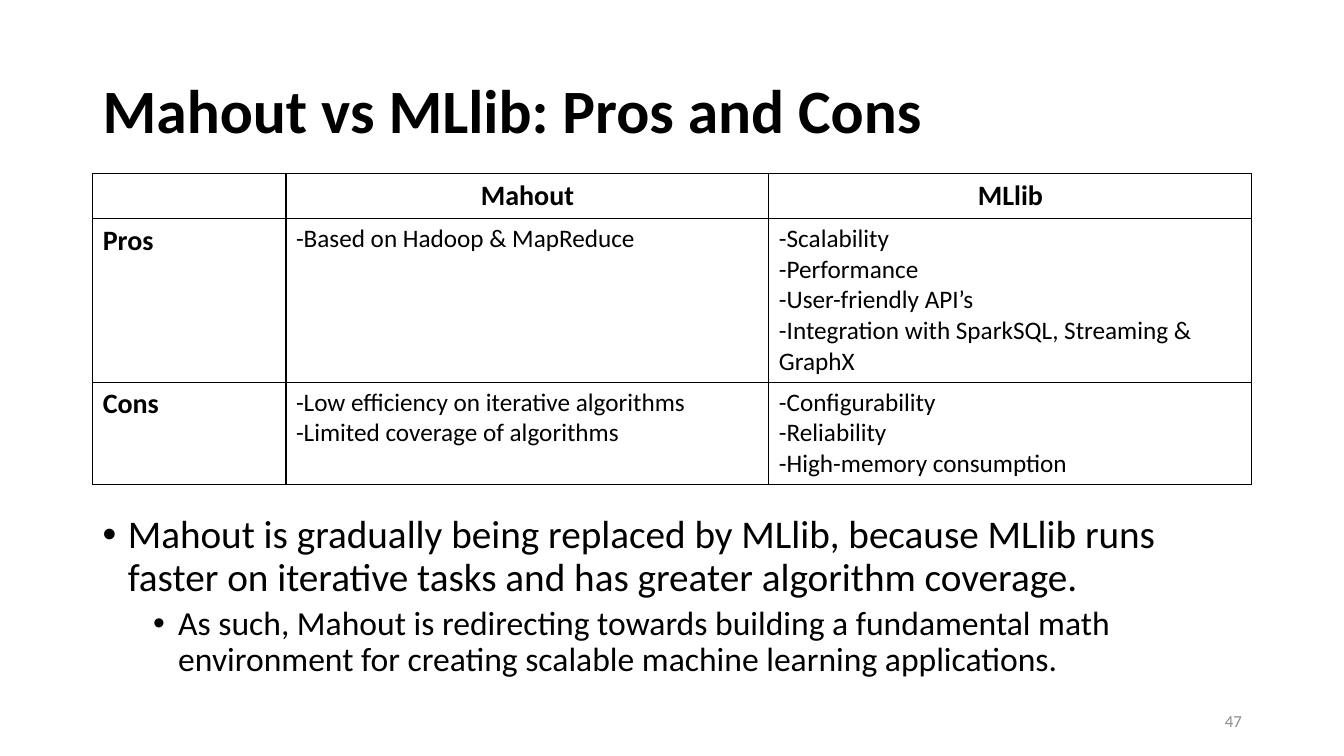
from dataclasses import dataclass

from lxml import etree
from pptx import Presentation
from pptx.dml.color import RGBColor
from pptx.enum.text import MSO_ANCHOR, PP_ALIGN
from pptx.oxml.ns import qn
from pptx.util import Pt

LEFT, CENTER, RIGHT = PP_ALIGN.LEFT, PP_ALIGN.CENTER, PP_ALIGN.RIGHT
TOP, MIDDLE = MSO_ANCHOR.TOP, MSO_ANCHOR.MIDDLE


@dataclass(frozen=True)
class Theme:
    font: str = "Calibri"
    ink: RGBColor = RGBColor(0, 0, 0)
    muted: RGBColor = RGBColor(0x8C, 0x8C, 0x8C)
    title: int = 44
    point: int = 28
    subpoint: int = 24
    heading: int = 20
    entry: int = 18
    footer: int = 12


THEME = Theme()
MARGIN, CONTENT_WIDTH = 66.24, 828
COLUMN_WIDTHS = (138, 345, 345)
ROW_HEIGHTS = (32, 117, 73)

COMPARISON = [
    [[], ["Mahout"], ["MLlib"]],
    [
        ["Pros"],
        ["-Based on Hadoop & MapReduce"],
        [
            "-Scalability",
            "-Performance",
            "-User-friendly API’s",
            "-Integration with SparkSQL, Streaming & GraphX",
        ],
    ],
    [
        ["Cons"],
        ["-Low efficiency on iterative algorithms", "-Limited coverage of algorithms"],
        ["-Configurability", "-Reliability", "-High-memory consumption"],
    ],
]


def add_text_frame(slide, left, top, width, height, anchor=TOP):
    frame = slide.shapes.add_textbox(Pt(left), Pt(top), Pt(width), Pt(height)).text_frame
    frame.word_wrap = True
    frame.vertical_anchor = anchor
    return frame


def write(paragraph, text, size, color=THEME.ink, bold=False, align=LEFT):
    paragraph.alignment = align
    run = paragraph.add_run()
    run.text = text
    run.font.name = THEME.font
    run.font.size = Pt(size)
    run.font.bold = bold
    run.font.color.rgb = color


def set_bullet(paragraph, indent):
    """Hang a round bullet 18 pt to the left of the indent."""
    properties = paragraph._p.get_or_add_pPr()
    properties.set("marL", str(Pt(indent)))
    properties.set("indent", str(Pt(-18)))
    etree.SubElement(properties, qn("a:buFont"), typeface="Arial")
    etree.SubElement(properties, qn("a:buChar"), char="•")


def set_borders(cell):
    properties = cell._tc.get_or_add_tcPr()
    for position, side in enumerate(("a:lnL", "a:lnR", "a:lnT", "a:lnB")):
        line = etree.Element(qn(side), w=str(Pt(1)))
        fill = etree.SubElement(line, qn("a:solidFill"))
        etree.SubElement(fill, qn("a:srgbClr"), val=str(THEME.ink))
        properties.insert(position, line)


def fill_cell(cell, lines, is_header, is_label):
    cell.fill.background()
    set_borders(cell)
    cell.vertical_anchor = MIDDLE if is_header else TOP
    bold = is_header or is_label
    for number, line in enumerate(lines):
        frame = cell.text_frame
        paragraph = frame.add_paragraph() if number else frame.paragraphs[0]
        write(
            paragraph,
            line,
            THEME.heading if bold else THEME.entry,
            bold=bold,
            align=CENTER if is_header else LEFT,
        )


def add_comparison(slide):
    table = slide.shapes.add_table(
        len(ROW_HEIGHTS), len(COLUMN_WIDTHS),
        Pt(MARGIN), Pt(124), Pt(CONTENT_WIDTH), Pt(sum(ROW_HEIGHTS)),
    ).table
    table.horz_banding = False
    for column, width in zip(table.columns, COLUMN_WIDTHS):
        column.width = Pt(width)
    for row, height in zip(table.rows, ROW_HEIGHTS):
        row.height = Pt(height)
    for r, entries in enumerate(COMPARISON):
        for c, lines in enumerate(entries):
            fill_cell(table.cell(r, c), lines, is_header=r == 0, is_label=c == 0)


def add_title(slide, text):
    frame = add_text_frame(slide, MARGIN, 28.8, CONTENT_WIDTH, 104.4, MIDDLE)
    heading = frame.paragraphs[0]
    heading.line_spacing = 0.9
    write(heading, text, THEME.title, bold=True)


def add_conclusion(slide, point, subpoint):
    frame = add_text_frame(slide, MARGIN, 364.3, CONTENT_WIDTH, 136)
    main_point, detail = frame.paragraphs[0], frame.add_paragraph()
    main_point.line_spacing = detail.line_spacing = 0.9
    detail.space_before = Pt(5)
    detail.level = 1
    set_bullet(main_point, 18)
    set_bullet(detail, 54)
    write(main_point, point, THEME.point)
    write(detail, subpoint, THEME.subpoint)


def add_page_number(slide, number):
    frame = add_text_frame(slide, 678.24, 500.5, 216, 28.8, MIDDLE)
    write(frame.paragraphs[0], number, THEME.footer, THEME.muted, align=RIGHT)


def main():
    deck = Presentation()
    deck.slide_width, deck.slide_height = Pt(960), Pt(540)
    slide = deck.slides.add_slide(deck.slide_layouts[6])
    add_title(slide, "Mahout vs MLlib: Pros and Cons")
    add_conclusion(
        slide,
        "Mahout is gradually being replaced by MLlib, because MLlib runs "
        "faster on iterative tasks and has greater algorithm coverage.",
        "As such, Mahout is redirecting towards building a fundamental math "
        "environment for creating scalable machine learning applications.",
    )
    add_page_number(slide, "47")
    add_comparison(slide)
    deck.save("out.pptx")


if __name__ == "__main__":
    main()
